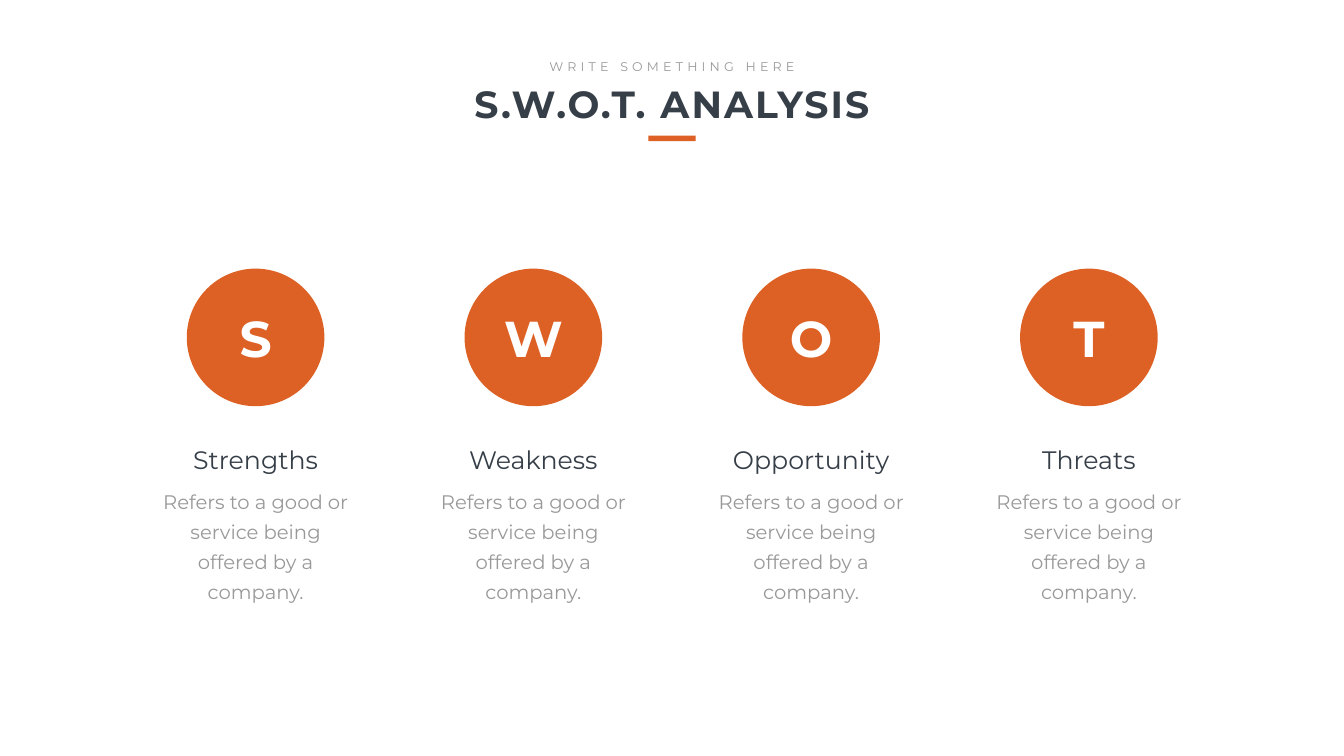
from pptx import Presentation
from pptx.dml.color import RGBColor
from pptx.enum.shapes import MSO_SHAPE
from pptx.enum.text import MSO_AUTO_SIZE, PP_ALIGN
from pptx.util import Inches, Pt

RECTANGLE, OVAL = MSO_SHAPE.RECTANGLE, MSO_SHAPE.OVAL
CENTER = PP_ALIGN.CENTER
GROW = MSO_AUTO_SIZE.SHAPE_TO_FIT_TEXT

ORANGE = RGBColor(0xDD, 0x61, 0x25)
DARK = RGBColor(0x36, 0x3E, 0x48)
GRAY = RGBColor(0x99, 0x99, 0x99)
WHITE = RGBColor(0xFF, 0xFF, 0xFF)

FONT = "Montserrat"
DESCRIPTION = "Refers to a good or service being offered by a company."
TOPICS = ["Strengths", "Weakness", "Opportunity", "Threats"]
LETTERS = "SWOT"
FIRST_CENTER, COLUMN_PITCH = 5.07, 5.51

prs = Presentation()
prs.slide_width, prs.slide_height = Inches(26.66), Inches(15)
slide = prs.slides.add_slide(prs.slide_layouts[6])


def add_text(text, center, top, width, height, size, color, bold=False, spacing=0):
    """Add a centred text box around the x position center; spacing is in points."""
    box = slide.shapes.add_textbox(
        Inches(center - width / 2), Inches(top), Inches(width), Inches(height))
    frame = box.text_frame
    frame.word_wrap = True
    frame.auto_size = GROW
    paragraph = frame.paragraphs[0]
    paragraph.text = text
    paragraph.alignment = CENTER
    font = paragraph.font
    font.name, font.size, font.bold = FONT, Pt(size), bold
    font.color.rgb = color
    if spacing:
        paragraph.runs[0].font._element.set("spc", str(spacing * 100))
    return frame


def add_orange_shape(preset, center, top, width, height):
    shape = slide.shapes.add_shape(
        preset, Inches(center - width / 2), Inches(top), Inches(width), Inches(height))
    shape.shadow.inherit = False
    shape.fill.solid()
    shape.fill.fore_color.rgb = ORANGE
    shape.line.fill.background()


# Heading
middle = 13.33
add_text("S.W.O.T. ANALYSIS", middle, 1.55, 10.64, 1.01, 54, DARK, bold=True, spacing=3)
tagline = add_text("WRITE SOMETHING HERE", middle, 1.12, 5.18, 0.4, 18, GRAY, spacing=6)
tagline.word_wrap = False
add_orange_shape(RECTANGLE, middle, 2.69, 0.94, 0.11)

# One column per topic
for column, (letter, topic) in enumerate(zip(LETTERS, TOPICS)):
    center = FIRST_CENTER + column * COLUMN_PITCH
    add_orange_shape(OVAL, center, 5.33, 2.73, 2.73)
    add_text(letter, center, 6.04, 1.89, 1.31, 72, WHITE, bold=True)
    add_text(topic, center, 8.77, 5.67, 0.71, 36, DARK)
    description = add_text(DESCRIPTION, center, 9.47, 4.54, 2, 28, GRAY)
    description.margin_left = description.margin_right = Inches(0.24)
    description.margin_top = description.margin_bottom = Inches(0.12)
    description.paragraphs[0].line_spacing = Pt(43)

prs.save("out.pptx")
